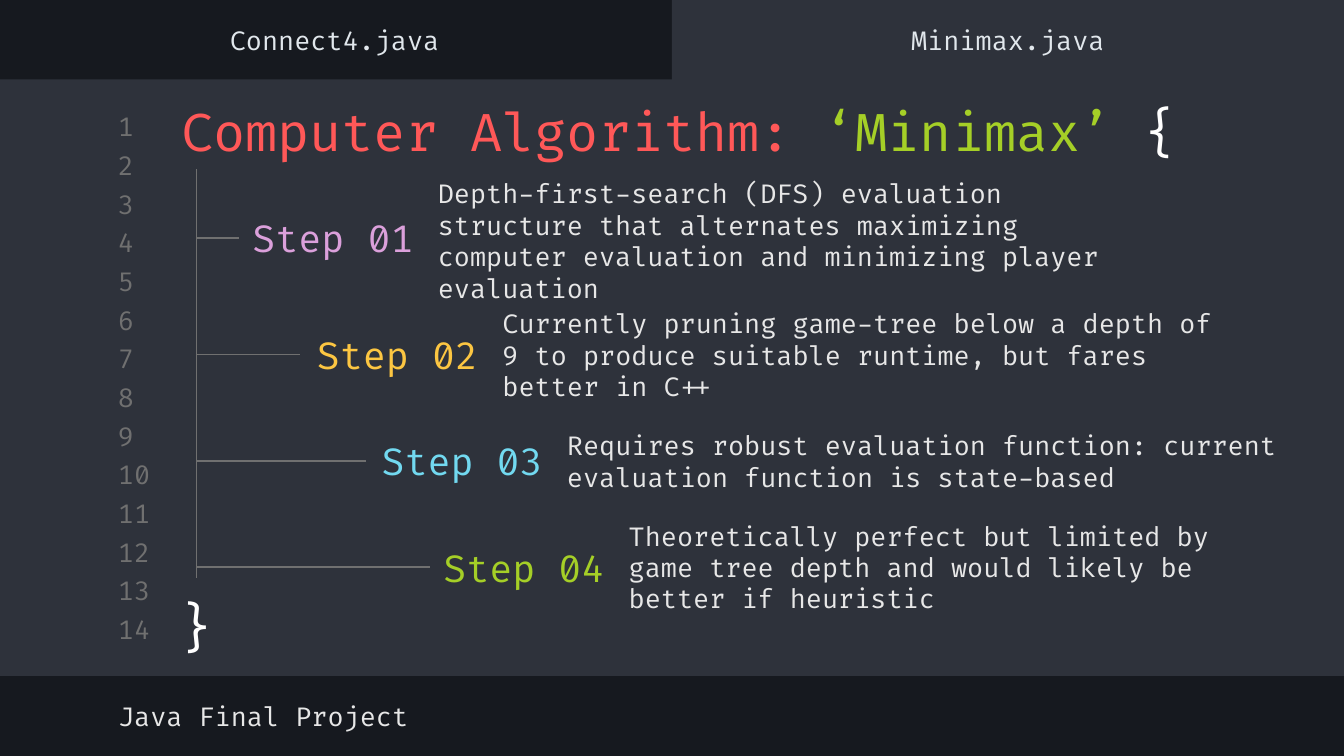
"""Build the Minimax algorithm slide, styled as a code editor with four steps."""
import pptx
import pptx.dml.color
import pptx.enum.shapes
import pptx.enum.text
import pptx.oxml.ns
import pptx.util
from lxml import etree

RGBColor = pptx.dml.color.RGBColor
Inches = pptx.util.Inches
Align = pptx.enum.text.PP_ALIGN
Anchor = pptx.enum.text.MSO_ANCHOR

DARK = RGBColor(0x16, 0x19, 0x1F)
PANEL = RGBColor(0x2E, 0x32, 0x3B)
GREY = RGBColor(0x70, 0x70, 0x70)
LIGHT = RGBColor(0xE7, 0xE7, 0xE7)
TAB_TEXT = RGBColor(0xE1, 0xE7, 0xEC)
WHITE = RGBColor(0xFF, 0xFF, 0xFF)
RED = RGBColor(0xFF, 0x58, 0x58)
GREEN = RGBColor(0xA5, 0xCF, 0x27)
PINK = RGBColor(0xDB, 0xA0, 0xDB)
YELLOW = RGBColor(0xFC, 0xC6, 0x42)
CYAN = RGBColor(0x72, 0xD9, 0xF0)

FONT = "Fira Code"
WIDTH = 10
HEIGHT = WIDTH * 9 / 16
MARGIN = 0.78
LINE_COUNT, FIRST_LINE_TOP, LAST_LINE_TOP = 14, 0.82, 4.56
TRUNK_X, TRUNK_TOP, TRUNK_BOTTOM = 1.46, 1.26, 4.3
LABEL_WIDTH, STEP_HEIGHT, DETAIL_OFFSET = 1.42, 0.64, 1.38

TABS = [("Connect4.java", -0.01), ("Minimax.java", WIDTH / 2)]
TITLE = [("Computer Algorithm: ", RED), ("‘Minimax’ ", GREEN), ("{", WHITE)]
FOOTER = "Java Final Project"
STEPS = [
    {"label": "Step 01", "color": PINK, "left": 1.78, "top": 1.45, "gap": 0,
     "detail_top": 1.47, "detail_width": 5.51,
     "detail": "Depth-first-search (DFS) evaluation structure that alternates "
               "maximizing computer evaluation and minimizing player evaluation"},
    {"label": "Step 02", "color": YELLOW, "left": 2.26, "top": 2.32, "gap": 0.03,
     "detail_top": 2.32, "detail_width": 5.58,
     "detail": "Currently pruning game-tree below a depth of 9 to produce "
               "suitable runtime, but fares better in C++"},
    {"label": "Step 03", "color": CYAN, "left": 2.74, "top": 3.11, "gap": 0.02,
     "detail_top": 3.11, "detail_width": 5.51,
     "detail": "Requires robust evaluation function: current evaluation "
               "function is state-based"},
    {"label": "Step 04", "color": GREEN, "left": 3.2, "top": 3.9, "gap": 0,
     "detail_top": 3.9, "detail_width": 5,
     "detail": "Theoretically perfect but limited by game tree depth and would "
               "likely be better if heuristic"},
]


def add_panel(page, left, top, width, height):
    panel = page.shapes.add_shape(
        pptx.enum.shapes.MSO_SHAPE.RECTANGLE,
        Inches(left), Inches(top), Inches(width), Inches(height))
    panel.shadow.inherit = False
    panel.fill.solid()
    panel.fill.fore_color.rgb = PANEL
    panel.line.fill.background()


def add_text(page, spans, left, top, width, height, size=14,
             align=Align.LEFT, anchor=Anchor.MIDDLE):
    box = page.shapes.add_textbox(
        Inches(left), Inches(top), Inches(width), Inches(height))
    frame = box.text_frame
    frame.word_wrap = True
    frame.vertical_anchor = anchor
    frame.margin_left = frame.margin_right = Inches(0.1)
    frame.margin_top = frame.margin_bottom = Inches(0.1)
    para = frame.paragraphs[0]
    para.alignment = align
    para.font.name = FONT
    para.font.size = pptx.util.Pt(size)
    for text, color in spans:
        span = para.add_run()
        span.text = text
        span.font.color.rgb = color
    return box


def add_line(page, x1, y1, x2, y2):
    line = page.shapes.add_connector(
        pptx.enum.shapes.MSO_CONNECTOR.STRAIGHT,
        Inches(x1), Inches(y1), Inches(x2), Inches(y2))
    line.line.color.rgb = GREY
    line.line.width = pptx.util.Pt(0.75)
    etree.SubElement(line._element.spPr, pptx.oxml.ns.qn("a:effectLst"))
    return line


def add_step(page, step):
    left, top = step["left"], step["top"]
    label = add_text(page, [(step["label"], step["color"])],
                     left, top, LABEL_WIDTH, STEP_HEIGHT, size=20)
    add_text(page, [(step["detail"], LIGHT)], left + DETAIL_OFFSET,
             step["detail_top"], step["detail_width"], STEP_HEIGHT)
    middle = top + STEP_HEIGHT / 2
    branch = add_line(page, TRUNK_X, middle, left - step["gap"], middle)
    if not step["gap"]:
        branch.end_connect(label, 1)


def main():
    deck = pptx.Presentation()
    deck.slide_width, deck.slide_height = Inches(WIDTH), Inches(HEIGHT)
    page = deck.slides.add_slide(deck.slide_layouts[6])
    page.background.fill.solid()
    page.background.fill.fore_color.rgb = DARK

    add_panel(page, 0, 0.59, WIDTH, 4.44)
    add_panel(page, WIDTH / 2, 0, WIDTH / 2, 0.65)
    line_pitch = (LAST_LINE_TOP - FIRST_LINE_TOP) / (LINE_COUNT - 1)
    for index in range(LINE_COUNT):
        add_text(page, [(str(index + 1), GREY)], MARGIN,
                 FIRST_LINE_TOP + index * line_pitch, 0.47, 0.24)

    add_text(page, TITLE, 1.25, 0.64, 7.97, 0.59, size=28, anchor=Anchor.TOP)
    add_text(page, [("}", WHITE)], 1.19, 4.32, 0.55, 0.67, size=28,
             align=Align.CENTER, anchor=Anchor.TOP)

    add_line(page, TRUNK_X, TRUNK_TOP, TRUNK_X, TRUNK_BOTTOM)
    for step in STEPS:
        add_step(page, step)

    for name, left in TABS:
        add_text(page, [(name, TAB_TEXT)], left, 0.1, WIDTH / 2, 0.39,
                 align=Align.CENTER)
    add_text(page, [(FOOTER, LIGHT)], MARGIN, 5.13, 5.32, 0.39)
    deck.save("out.pptx")


if __name__ == "__main__":
    main()
